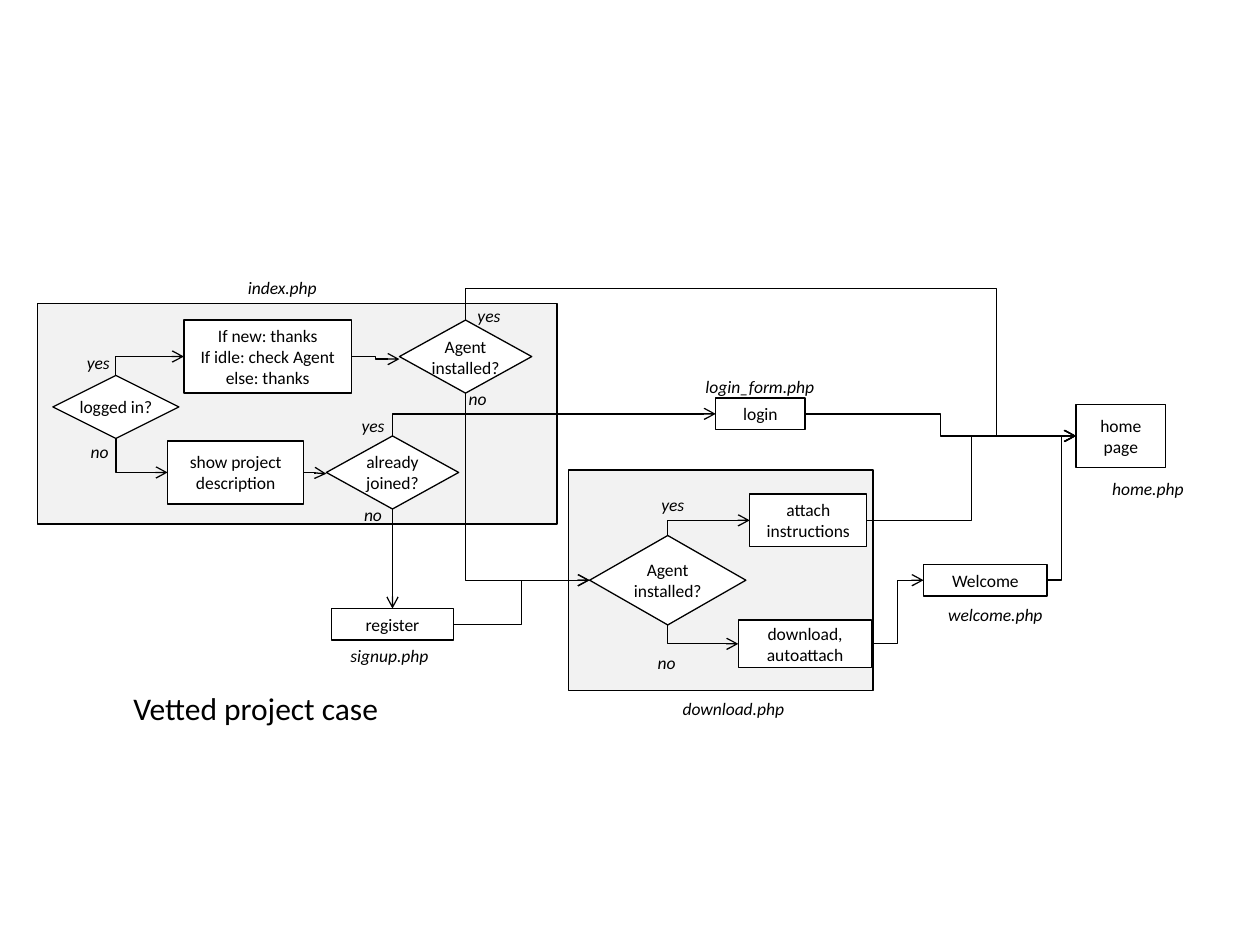
"""Build the flowchart slide for the vetted project case."""
import pptx
import pptx.dml.color
import pptx.enum.shapes
import pptx.enum.text
import pptx.oxml
import pptx.oxml.ns
import pptx.util

SCALE = 9144
COLOURS = {"ink": "000000", "paper": "FFFFFF", "panel": "F2F2F2"}
SHAPES = pptx.enum.shapes.MSO_SHAPE
CONNECTORS = pptx.enum.shapes.MSO_CONNECTOR
TOP, LEFT, BOTTOM, RIGHT = range(4)


def px(value):
    return pptx.util.Emu(round(value * SCALE))


def colour(name):
    return pptx.dml.color.RGBColor.from_string(COLOURS[name])


def side_point(shape, side):
    middle_x = (shape.left + shape.width / 2) / SCALE
    middle_y = (shape.top + shape.height / 2) / SCALE
    return {
        TOP: (middle_x, shape.top / SCALE),
        LEFT: (shape.left / SCALE, middle_y),
        BOTTOM: (middle_x, (shape.top + shape.height) / SCALE),
        RIGHT: ((shape.left + shape.width) / SCALE, middle_y),
    }[side]


class FlowSlide:
    def __init__(self, page):
        self.page = page
        self.font = {"name": "Calibri", "size": pptx.util.Pt(10), "bold": False}
        self.frame = {"vertical_anchor": pptx.enum.text.MSO_ANCHOR.MIDDLE, "word_wrap": True}

    def label(self, box, text, **changes):
        for name, value in self.frame.items():
            setattr(box.text_frame, name, value)
        box.text_frame.text = text
        for para in box.text_frame.paragraphs:
            para.alignment = pptx.enum.text.PP_ALIGN.CENTER
            for span in para.runs:
                for name, value in {**self.font, **changes}.items():
                    setattr(span.font, name, value)
                span.font.color.rgb = colour("ink")

    def outline(self, item):
        item.line.color.rgb = colour("ink")
        item.line.width = pptx.util.Pt(0.75)

    def shape(self, kind, frame, fill="paper"):
        box = self.page.shapes.add_shape(kind, *map(px, frame))
        box.shadow.inherit = False
        box.fill.solid()
        box.fill.fore_color.rgb = colour(fill)
        return box

    def panel(self, *frame):
        self.outline(self.shape(SHAPES.RECTANGLE, frame, "panel"))

    def step(self, text, *frame):
        box = self.shape(SHAPES.RECTANGLE, frame)
        self.outline(box)
        self.label(box, text)
        return box

    def decision(self, text, *frame):
        box = self.shape(SHAPES.DIAMOND, frame)
        self.outline(box)
        self.label(box, text)
        box.text_frame.word_wrap = False
        return box

    def file_name(self, text, left, top):
        box = self.shape(SHAPES.RECTANGLE, (left, top, 114, 25))
        box.line.fill.background()
        self.label(box, text, italic=True)

    def answer(self, text, left, top):
        box = self.page.shapes.add_textbox(*map(px, (left, top, 42, 17)))
        self.label(box, text, italic=True)

    def title(self, text, *frame):
        box = self.page.shapes.title
        for name, value in zip(("left", "top", "width", "height"), frame):
            setattr(box, name, px(value))
        self.label(box, text, size=pptx.util.Pt(18))

    def arrow(self, kind, *ends):
        line = self.page.shapes.add_connector(kind, *map(px, ends))
        self.outline(line)
        space = pptx.oxml.ns.nsdecls("a")
        properties = line._element.spPr
        stroke = properties.find(pptx.oxml.ns.qn("a:ln"))
        stroke.append(pptx.oxml.parse_xml(f'<a:tailEnd {space} type="arrow"/>'))
        properties.append(pptx.oxml.parse_xml(f"<a:effectLst {space}/>"))
        return line

    def drop(self, source, target):
        line = self.arrow(CONNECTORS.STRAIGHT, *side_point(source, BOTTOM), *side_point(target, TOP))
        line.begin_connect(source, BOTTOM)
        line.end_connect(target, TOP)

    def step_across(self, source, target, shift=0):
        end_x, end_y = side_point(target, LEFT)
        self.arrow(CONNECTORS.ELBOW, *side_point(source, RIGHT), end_x, end_y + shift)

    def turn(self, source, side, target, adjust=()):
        start_x, start_y = side_point(source, side)
        end_x, end_y = side_point(target, LEFT)
        middle_x, middle_y = (start_x + end_x) / 2, (start_y + end_y) / 2
        half_w, half_h = abs(end_y - start_y) / 2, abs(end_x - start_x) / 2
        line = self.arrow(CONNECTORS.ELBOW, middle_x - half_w, middle_y - half_h,
                          middle_x + half_w, middle_y + half_h)
        down = end_y > start_y
        placing = line._element.spPr.find(pptx.oxml.ns.qn("a:xfrm"))
        turning = {"rot": "16200000" if down else "5400000", "flipH": "1", "flipV": "0" if down else "1"}
        for name, value in turning.items():
            placing.set(name, value)
        geometry = line._element.spPr.find(pptx.oxml.ns.qn("a:prstGeom"))
        geometry.set("prst", f"bentConnector{2 + len(adjust)}")
        guides = "".join(f'<a:gd name="adj{index}" fmla="val {round(value * 100000)}"/>'
                         for index, value in enumerate(adjust, 1))
        for old in list(geometry):
            geometry.remove(old)
        geometry.append(pptx.oxml.parse_xml(f'<a:avLst {pptx.oxml.ns.nsdecls("a")}>{guides}</a:avLst>'))


def main():
    deck = pptx.Presentation()
    deck.slide_width, deck.slide_height = px(1000), px(750)
    flow = FlowSlide(deck.slides.add_slide(deck.slide_layouts[5]))
    flow.title("Vetted project case", 56, 533, 294, 58)

    for name, left, top in (
        ("index.php", 167, 216), ("login_form.php", 546, 294), ("signup.php", 252, 508),
        ("download.php", 525, 550), ("welcome.php", 733, 475), ("home.php", 854, 375),
    ):
        flow.file_name(name, left, top)
    flow.panel(451, 373, 242, 175)
    flow.panel(30, 241, 412, 175)

    logged_in = flow.decision("logged in?", 42, 298, 100, 50)
    thanks = flow.step("If new: thanks\nIf idle: check Agent\nelse: thanks", 146, 254, 133, 58)
    index_installed = flow.decision("Agent\ninstalled?", 317, 254, 105, 58)
    description = flow.step("show project\ndescription", 133, 350, 108, 50)
    joined = flow.decision("already\njoined?", 259, 346, 105, 58)
    login = flow.step("login", 568, 316, 71, 25)
    home = flow.step("home\npage", 854, 321, 71, 50)
    register = flow.step("register", 263, 483, 97, 25)
    download_installed = flow.decision("Agent\ninstalled?", 468, 425, 124, 71)
    attach = flow.step("attach\ninstructions", 595, 392, 93, 42)
    welcome = flow.step("Welcome", 733, 448, 98, 25)
    download = flow.step("download,\nautoattach", 586, 492, 106, 38)

    for source, side, target in (
        (logged_in, TOP, thanks), (logged_in, BOTTOM, description), (joined, TOP, login),
        (download_installed, TOP, attach), (download_installed, BOTTOM, download),
        (index_installed, BOTTOM, download_installed),
    ):
        flow.turn(source, side, target)
    flow.turn(index_installed, TOP, home, (-0.27, 0.87))
    flow.step_across(thanks, index_installed, 2)
    flow.step_across(description, joined, 1)
    for source, target in (
        (login, home), (attach, home), (welcome, home),
        (download, welcome), (register, download_installed),
    ):
        flow.step_across(source, target)
    flow.drop(joined, register)

    for text, places in {
        "yes": ((367, 242), (57, 279), (275, 329), (513, 392)),
        "no": ((58, 350), (275, 400), (508, 517), (358, 308)),
    }.items():
        for left, top in places:
            flow.answer(text, left, top)
    deck.save("out.pptx")


if __name__ == "__main__":
    main()
